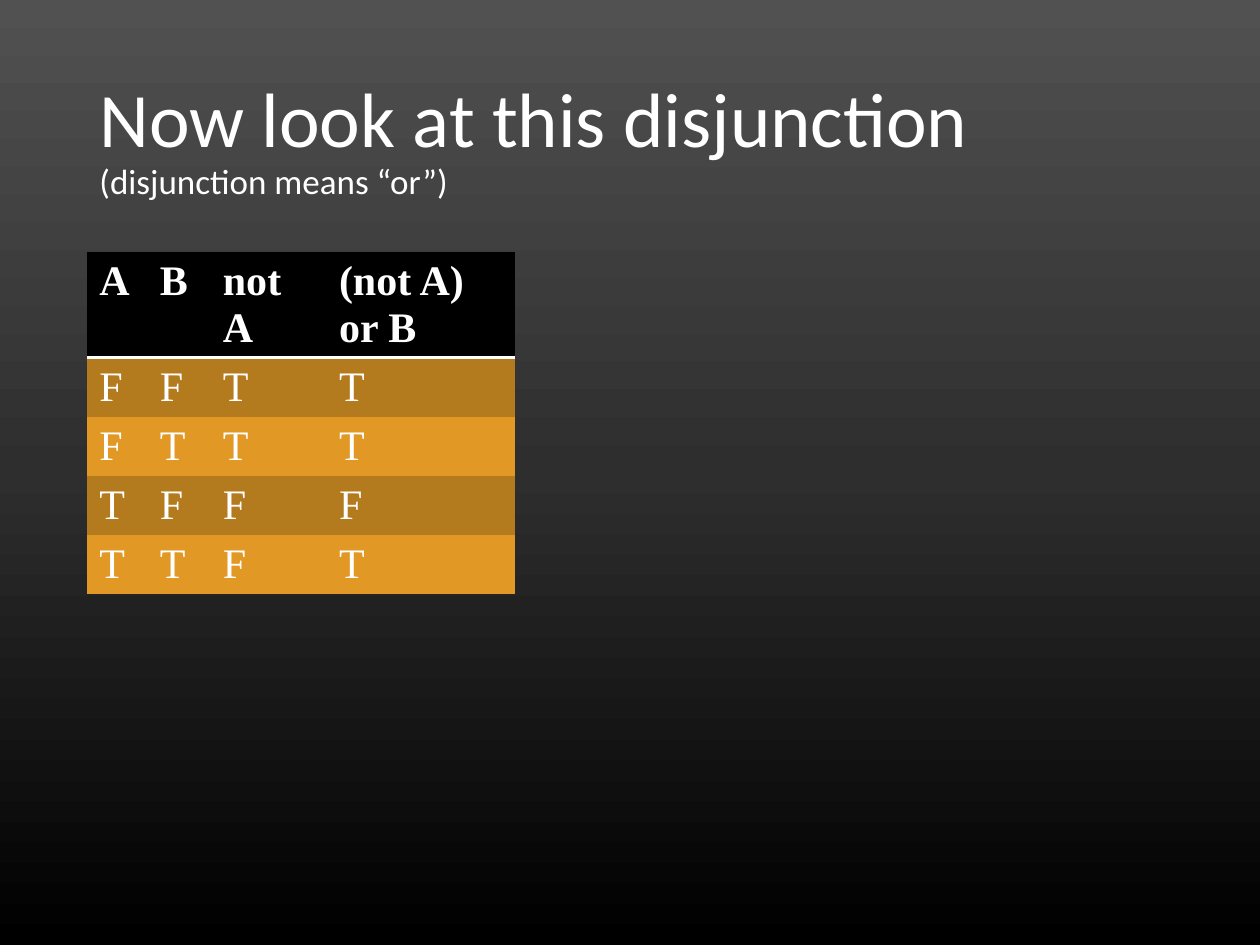
from copy import deepcopy

from lxml import etree
from pptx import Presentation
from pptx.dml.color import RGBColor
from pptx.enum.text import MSO_ANCHOR, MSO_AUTO_SIZE, PP_ALIGN
from pptx.oxml.ns import qn
from pptx.util import Cm, Pt

LEFT = PP_ALIGN.LEFT
MIDDLE = MSO_ANCHOR.MIDDLE
NO_FIT = MSO_AUTO_SIZE.NONE
TITLE_ONLY = 5
PLAIN_TABLE_STYLE = "{2D5ABB26-0587-4C30-8999-92F81FD0307C}"

COLOURS = {
    "text": "FFFFFF",
    "header": "000000",
    "dark band": "B47A1E",
    "light band": "E19825",
    "top": "515151",
    "middle": "2E2E2E",
    "bottom": "000000",
}
TRUTH_TABLE = [
    ["A", "B", "not A", "(not A) or B"],
    ["F", "F", "T", "T"],
    ["F", "T", "T", "T"],
    ["T", "F", "F", "F"],
    ["T", "T", "F", "T"],
]
COLUMN_WIDTHS = [1.22, 1.27, 2.34, 3.81]
ROW_HEIGHT = 1.04


def colour(name):
    return RGBColor.from_string(COLOURS[name])


def add_span(para, text, size, font, bold=False):
    span = para.add_run()
    span.text = text
    span.font.size = Pt(size)
    span.font.name = font
    span.font.bold = bold
    span.font.color.rgb = colour("text")


def paint_background(page):
    fill = page.background.fill
    fill.gradient()
    fill.gradient_angle = 270
    # The default gradient has two stops; add one for the middle
    stop_list = page.element.find(".//" + qn("a:gsLst"))
    stop_list.insert(1, deepcopy(stop_list[0]))
    names = ["top", "middle", "bottom"]
    for index, (stop, name) in enumerate(zip(fill.gradient_stops, names)):
        stop.position = index / 2
        stop.color.rgb = colour(name)


def place_title(page, left, top, width, height):
    title = page.shapes.title
    title.left, title.top = Cm(left), Cm(top)
    title.width, title.height = Cm(width), Cm(height)
    frame = title.text_frame
    frame.auto_size = NO_FIT
    frame.vertical_anchor = MIDDLE
    para = frame.paragraphs[0]
    para.alignment = LEFT
    para.line_spacing = 0.9
    add_span(para, "Now look at this disjunction", 44, "Calibri")
    para.add_line_break()
    add_span(para, "(disjunction means “or”)", 20, "Calibri")


def underline_cell(cell):
    properties = cell._tc.get_or_add_tcPr()
    border = etree.Element(qn("a:lnB"), w=str(Pt(2)))
    fill = etree.SubElement(border, qn("a:solidFill"))
    etree.SubElement(fill, qn("a:srgbClr"), val=COLOURS["text"])
    properties.insert(0, border)


def place_truth_table(page, left, top):
    row_count = len(TRUTH_TABLE)
    box = page.shapes.add_table(
        row_count, len(COLUMN_WIDTHS), Cm(left), Cm(top),
        Cm(sum(COLUMN_WIDTHS)), Cm(ROW_HEIGHT * row_count))
    table = box.table
    box._element.find(".//" + qn("a:tableStyleId")).text = PLAIN_TABLE_STYLE
    for column, width in zip(table.columns, COLUMN_WIDTHS):
        column.width = Cm(width)
    for row_index, values in enumerate(TRUTH_TABLE):
        is_header = row_index == 0
        band = "dark band" if row_index % 2 else "light band"
        table.rows[row_index].height = Cm(ROW_HEIGHT)
        for column_index, value in enumerate(values):
            cell = table.cell(row_index, column_index)
            cell.fill.solid()
            cell.fill.fore_color.rgb = colour("header" if is_header else band)
            para = cell.text_frame.paragraphs[0]
            add_span(para, value, 24, "Times New Roman", bold=is_header)
            if is_header:
                underline_cell(cell)


def main():
    deck = Presentation()
    deck.slide_width, deck.slide_height = Cm(25.4), Cm(19.05)
    page = deck.slides.add_slide(deck.slide_layouts[TITLE_ONLY])
    paint_background(page)
    place_title(page, 1.75, 1.02, 21.9, 3.68)
    place_truth_table(page, 1.75, 5.08)
    deck.save("out.pptx")


if __name__ == "__main__":
    main()
